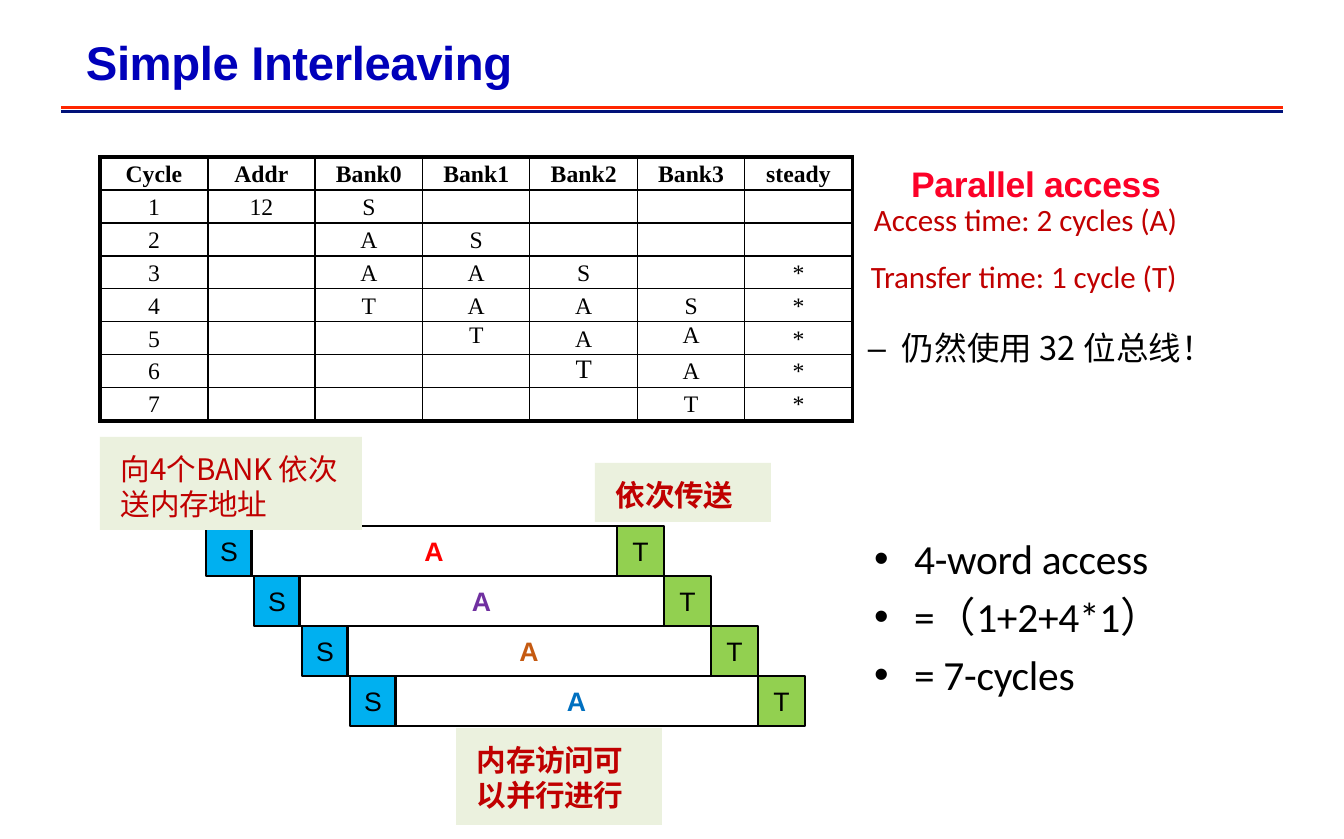
"""Build the Simple Interleaving slide: bank timing table and access pipeline."""
from lxml import etree
from pptx import Presentation
from pptx.dml.color import RGBColor
from pptx.enum.shapes import MSO_CONNECTOR, MSO_SHAPE
from pptx.enum.text import MSO_ANCHOR, PP_ALIGN
from pptx.oxml.ns import qn
from pptx.util import Pt

PX = 4293
STRAIGHT = MSO_CONNECTOR.STRAIGHT
RECTANGLE = MSO_SHAPE.RECTANGLE
TOP, MIDDLE = MSO_ANCHOR.TOP, MSO_ANCHOR.MIDDLE
LEFT, CENTER, RIGHT = PP_ALIGN.LEFT, PP_ALIGN.CENTER, PP_ALIGN.RIGHT

BLACK = RGBColor(0, 0, 0)
TITLE_BLUE = RGBColor(0x00, 0x00, 0xBA)
RULE_RED = RGBColor(0xFF, 0x26, 0x00)
RULE_NAVY = RGBColor(0x01, 0x12, 0x79)
HEADING_RED = RGBColor(0xFC, 0x01, 0x28)
DARK_RED = RGBColor(0xC0, 0x00, 0x00)
SEND_BLUE = RGBColor(0x00, 0xB0, 0xF0)
TRANSFER_GREEN = RGBColor(0x92, 0xD0, 0x50)
NOTE_GREEN = RGBColor(0xEB, 0xF1, 0xDE)
ACCESS_COLORS = (RGBColor(0xFF, 0x00, 0x00), RGBColor(0x70, 0x30, 0xA0),
                 RGBColor(0xC5, 0x5A, 0x11), RGBColor(0x00, 0x70, 0xC0))

CJK = "Noto Sans CJK SC"
TITLE = {"name": "Arial", "size": Pt(16), "bold": True}
HEADING = {"name": "Arial", "size": Pt(12), "bold": True}
TIMING = {"name": "Calibri", "size": Pt(10.5)}
FORMULA = {"name": "Calibri", "size": Pt(14)}
BUS = {"name": CJK, "size": Pt(11)}
NOTE = {"name": CJK, "size": Pt(10)}
STAGE = {"name": "Arial", "size": Pt(9)}
CELL = {"name": "Times New Roman", "size": Pt(8)}

ROWS = (
    ("Cycle", "Addr", "Bank0", "Bank1", "Bank2", "Bank3", "steady"),
    ("1", "12", "S", "", "", "", ""),
    ("2", "", "A", "S", "", "", ""),
    ("3", "", "A", "A", "S", "", "*"),
    ("4", "", "T", "A", "A", "S", "*"),
    ("5", "", "", "T", "A", "A", "*"),
    ("6", "", "", "", "T", "A", "*"),
    ("7", "", "", "", "", "T", "*"),
)
RAISED_SIZES = {(5, 3): 8, (5, 5): 8, (6, 4): 9}


def scaled(*lengths):
    """Turn px lengths into EMU."""
    return [length * PX for length in lengths]


def apply_format(target, values):
    """Set each named attribute on the target."""
    for name, value in values.items():
        setattr(target, name, value)


def write(frame, texts, font, color, align=LEFT, spacing=0, paragraph=None):
    """Fill a text frame with one formatted paragraph per text."""
    frame.word_wrap = True
    for index, text in enumerate(texts):
        para = frame.add_paragraph() if index else frame.paragraphs[0]
        apply_format(para, {"alignment": align, **(paragraph or {})})
        span = para.add_run()
        span.text = text
        apply_format(span.font, font)
        span.font.color.rgb = color
        properties = span.font._element
        if spacing:
            properties.set("spc", str(spacing))
        latin = properties.find(qn("a:latin"))
        latin.addnext(properties.makeelement(qn("a:ea"), {"typeface": CJK}))


def set_margins(frame, left, top, right, bottom):
    """Set the four insets of a text frame or cell in px."""
    names = ("margin_left", "margin_top", "margin_right", "margin_bottom")
    apply_format(frame, dict(zip(names, scaled(left, top, right, bottom))))


def add_text(page, place, texts, font, color, margins=(21, 11, 21, 11), **options):
    """Add a text box and return its frame."""
    frame = page.shapes.add_textbox(*scaled(*place)).text_frame
    set_margins(frame, *margins)
    write(frame, texts, font, color, **options)
    return frame


def add_bullets(frame, mark, indent, hanging):
    """Give every paragraph a bullet mark and a hanging indent."""
    for para in frame.paragraphs:
        properties = para._p.get_or_add_pPr()
        properties.set("marL", str(indent * PX))
        properties.set("indent", str(-hanging * PX))
        etree.SubElement(properties, qn("a:buFont"), typeface="Arial")
        etree.SubElement(properties, qn("a:buChar"), char=mark)


def add_box(page, place, fill, outlined=False):
    """Add a plain rectangle, filled when a colour is given."""
    box = page.shapes.add_shape(RECTANGLE, *scaled(*place))
    box.shadow.inherit = False
    if fill is None:
        box.fill.background()
    else:
        box.fill.solid()
        box.fill.fore_color.rgb = fill
    if outlined:
        box.line.color.rgb = BLACK
        box.line.width = Pt(0.5)
    else:
        box.line.fill.background()
    return box


def add_stage(page, place, label, fill=None, color=BLACK, bold=False):
    """Add one labelled pipeline stage."""
    frame = add_box(page, place, fill, outlined=True).text_frame
    set_margins(frame, 0, 0, 0, 0)
    frame.vertical_anchor = MIDDLE
    write(frame, [label], {**STAGE, "bold": bold}, color, CENTER)


def add_note(page, place, text, bold=True):
    """Add a pale green caption."""
    frame = add_box(page, place, NOTE_GREEN).text_frame
    set_margins(frame, 21, 14, 21, 8)
    frame.vertical_anchor = TOP
    write(frame, [text], {**NOTE, "bold": bold}, DARK_RED, spacing=-10,
          paragraph={"line_spacing": Pt(12)})


def add_rule(page, y, color):
    """Add a horizontal rule under the title."""
    rule = page.shapes.add_connector(STRAIGHT, *scaled(61, y, 1283, y))
    rule.line.color.rgb = color
    rule.line.width = Pt(1)
    etree.SubElement(rule._element.spPr, qn("a:effectLst"))


def add_borders(cell, outer_sides):
    """Draw cell borders, heavy on the outer sides."""
    properties = cell._tc.get_or_add_tcPr()
    for index, side in enumerate("LRTB"):
        width = Pt(1.5) if side in outer_sides else Pt(0.5)
        border = properties.makeelement(qn(f"a:ln{side}"), {"w": str(width)})
        fill = etree.SubElement(border, qn("a:solidFill"))
        etree.SubElement(fill, qn("a:srgbClr"), val=str(BLACK))
        properties.insert(index, border)


def add_bank_table(page):
    """Add the cycle by bank table."""
    last_row, last_column = len(ROWS) - 1, len(ROWS[0]) - 1
    table = page.shapes.add_table(len(ROWS), len(ROWS[0]), *scaled(100, 157, 753, 264)).table
    apply_format(table, {"first_row": False, "horz_banding": False})
    for index, column in enumerate(table.columns):
        column.width = (108 - index % 2) * PX
    for r, values in enumerate(ROWS):
        table.rows[r].height = 33 * PX
        for c, text in enumerate(values):
            cell = table.cell(r, c)
            raised = RAISED_SIZES.get((r, c))
            set_margins(cell, 0, 0 if raised else 4, 0, 0)
            cell.fill.background()
            outer = {"L": c == 0, "R": c == last_column, "T": r == 0, "B": r == last_row}
            add_borders(cell, [side for side in outer if outer[side]])
            if text:
                font = {**CELL, "size": Pt(raised or 8), "bold": r == 0}
                write(cell.text_frame, [text], font, BLACK, CENTER)
            else:
                para = cell.text_frame.paragraphs[0]
                etree.SubElement(para._p, qn("a:endParaRPr"), sz="800")


def add_pipeline(page):
    """Add the four staggered send, access and transfer rows."""
    for bank, color in enumerate(ACCESS_COLORS):
        send, transfer, y = 206 + 48 * bank, 617 + 47 * bank, 526 + 50 * bank
        add_stage(page, (send, y, 46, 50), "S", SEND_BLUE)
        add_stage(page, (send + 45, y, transfer - send - 45, 50), "A", color=color, bold=True)
        add_stage(page, (transfer, y, 47, 50), "T", TRANSFER_GREEN)


def main():
    """Build and save the deck."""
    deck = Presentation()
    deck.slide_width, deck.slide_height = scaled(1344, 839)
    page = deck.slides.add_slide(deck.slide_layouts[6])
    add_rule(page, 108, RULE_RED)
    add_rule(page, 112, RULE_NAVY)
    add_text(page, (86, 33, 1035, 58), ["Simple Interleaving"], TITLE, TITLE_BLUE,
             (0, 0, 0, 0), spacing=-10)
    formula = add_text(page, (872, 524, 381, 177), ["4-word access", "=（1+2+4*1）", "= 7-cycles"],
                       FORMULA, BLACK, (0, 9, 0, 0), spacing=-10,
                       paragraph={"space_before": Pt(2.8)})
    add_bullets(formula, "•", 42, 40)
    add_bank_table(page)
    add_text(page, (853, 189, 366, 62), ["Access time: 2 cycles (A)"], TIMING, DARK_RED)
    add_text(page, (850, 247, 366, 60), ["Transfer time: 1 cycle (T)"], TIMING, DARK_RED)
    add_text(page, (886, 151, 296, 64), ["Parallel access"], HEADING, HEADING_RED,
             align=RIGHT, spacing=-10)
    add_pipeline(page)
    add_note(page, (100, 437, 262, 93), "向4个BANK 依次送内存地址", bold=False)
    add_note(page, (595, 463, 176, 59), "依次传送")
    add_note(page, (456, 728, 206, 97), "内存访问可以并行进行")
    bus = add_text(page, (792, 315, 475, 62), ["仍然使用 32 位总线！"], BUS, BLACK,
                   (21, 14, 21, 8), paragraph={"line_spacing": Pt(13)})
    add_bullets(bus, "–", 89, 34)
    deck.save("out.pptx")


if __name__ == "__main__":
    main()
